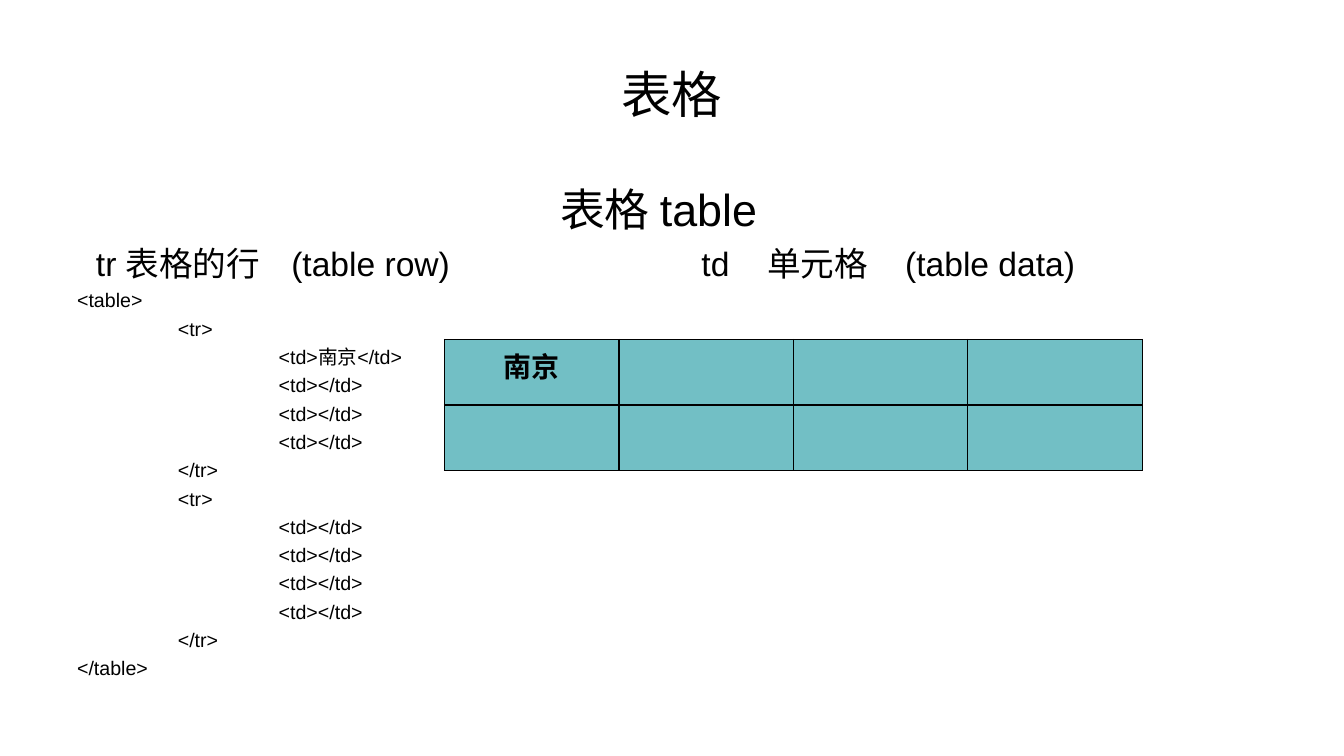
import dataclasses

import pptx
import pptx.dml.color
import pptx.enum.text
import pptx.oxml
import pptx.oxml.ns
import pptx.util

Pt = pptx.util.Pt
Align = pptx.enum.text.PP_ALIGN
Anchor = pptx.enum.text.MSO_ANCHOR


@dataclasses.dataclass(frozen=True)
class Theme:
    font: str = "Arial"
    ink: str = "000000"
    cell: str = "72BFC5"
    title: int = 36
    heading: int = 32
    terms: int = 24
    code: int = 14
    table: int = 20
    gap: float = 0.24
    indent: int = 72


THEME = Theme()
TERM_TABS = (13.5, 153, 446, 493, 591.5)
TERMS = "\ttr 表格的行\t(table row)\ttd\t单元格\t(table data)"


def format_para(para, size, align=Align.LEFT, bold=False):
    para.alignment = align
    for span in para.runs:
        span.font.name = THEME.font
        span.font.size = Pt(size)
        span.font.bold = bold
        span.font.color.rgb = pptx.dml.color.RGBColor.from_string(THEME.ink)


def add_box(page, left, top, width, height, anchor):
    box = page.shapes.add_textbox(Pt(left), Pt(top), Pt(width), Pt(height))
    frame = box.text_frame
    frame.word_wrap = True
    frame.vertical_anchor = anchor
    return frame


def add_line(frame, text, size, align=Align.LEFT, level=0):
    para = frame.add_paragraph() if frame.text else frame.paragraphs[0]
    para.text = text
    para.space_before = Pt(round(size * THEME.gap, 1))
    para._p.get_or_add_pPr().set("marL", str(Pt(level * THEME.indent)))
    format_para(para, size, align)
    return para


def set_tabs(para, stops):
    tabs = pptx.oxml.parse_xml(f"<a:tabLst {pptx.oxml.ns.nsdecls('a')}/>")
    for stop in stops:
        tab = tabs.makeelement(pptx.oxml.ns.qn("a:tab"), {"pos": str(Pt(stop)), "algn": "l"})
        tabs.append(tab)
    para._p.get_or_add_pPr().append(tabs)


def code_lines():
    yield 0, "<table>"
    for first_city in ("南京", ""):
        yield 1, "<tr>"
        for city in (first_city, "", "", ""):
            yield 2, f"<td>{city}</td>"
        yield 1, "</tr>"
    yield 0, "</table>"


def style_cell(cell):
    properties = cell._tc.get_or_add_tcPr()
    for side in ("lnL", "lnR", "lnT", "lnB"):
        properties.append(pptx.oxml.parse_xml(
            f'<a:{side} {pptx.oxml.ns.nsdecls("a")} w="{Pt(1)}"><a:solidFill>'
            f'<a:srgbClr val="{THEME.ink}"/></a:solidFill></a:{side}>'))
    cell.fill.solid()
    cell.fill.fore_color.rgb = pptx.dml.color.RGBColor.from_string(THEME.cell)


def add_city_table(page):
    table = page.shapes.add_table(2, 4, Pt(317.5), Pt(242.5), Pt(498.5), Pt(93.6)).table
    for column in table.columns:
        column.width = Pt(124.6)
    for row in table.rows:
        row.height = Pt(46.8)
    for cell in table.iter_cells():
        style_cell(cell)
    city = table.cell(0, 0)
    city.text_frame.text = "南京"
    format_para(city.text_frame.paragraphs[0], THEME.table, Align.CENTER, True)


def main():
    deck = pptx.Presentation()
    deck.slide_width, deck.slide_height = Pt(960), Pt(540)
    page = deck.slides.add_slide(deck.slide_layouts[6])

    title = add_box(page, 48, 21.6, 864, 90, Anchor.MIDDLE)
    title.text = "表格"
    format_para(title.paragraphs[0], THEME.title, Align.CENTER)

    body = add_box(page, 48, 126, 864, 356.4, Anchor.TOP)
    heading = add_line(body, "表格 table", THEME.heading, Align.CENTER)
    heading._p.get_or_add_pPr().set("marR", str(Pt(19)))
    set_tabs(add_line(body, TERMS, THEME.terms), TERM_TABS)
    for level, text in code_lines():
        add_line(body, text, THEME.code, level=level)

    add_city_table(page)
    deck.save("out.pptx")


if __name__ == "__main__":
    main()
